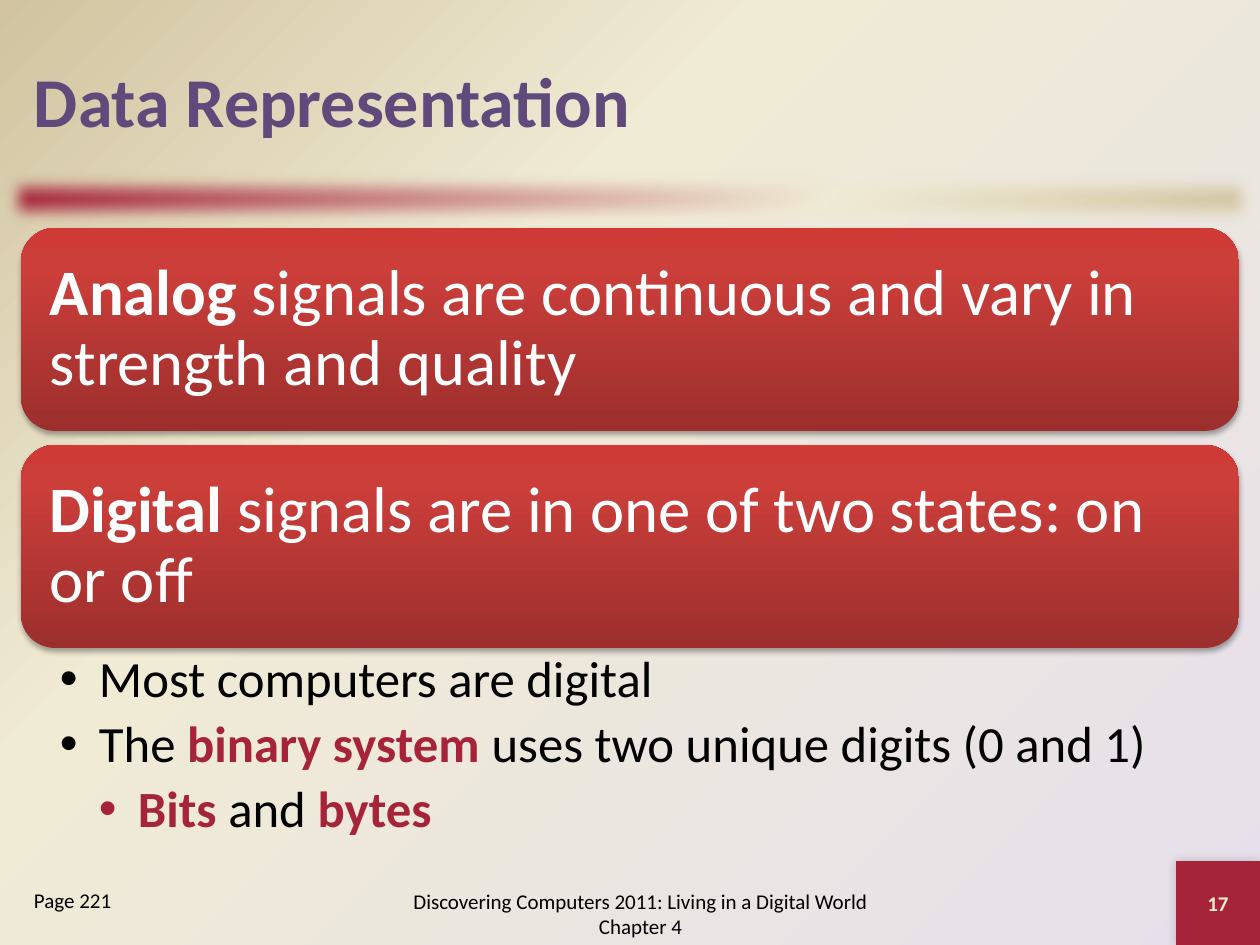
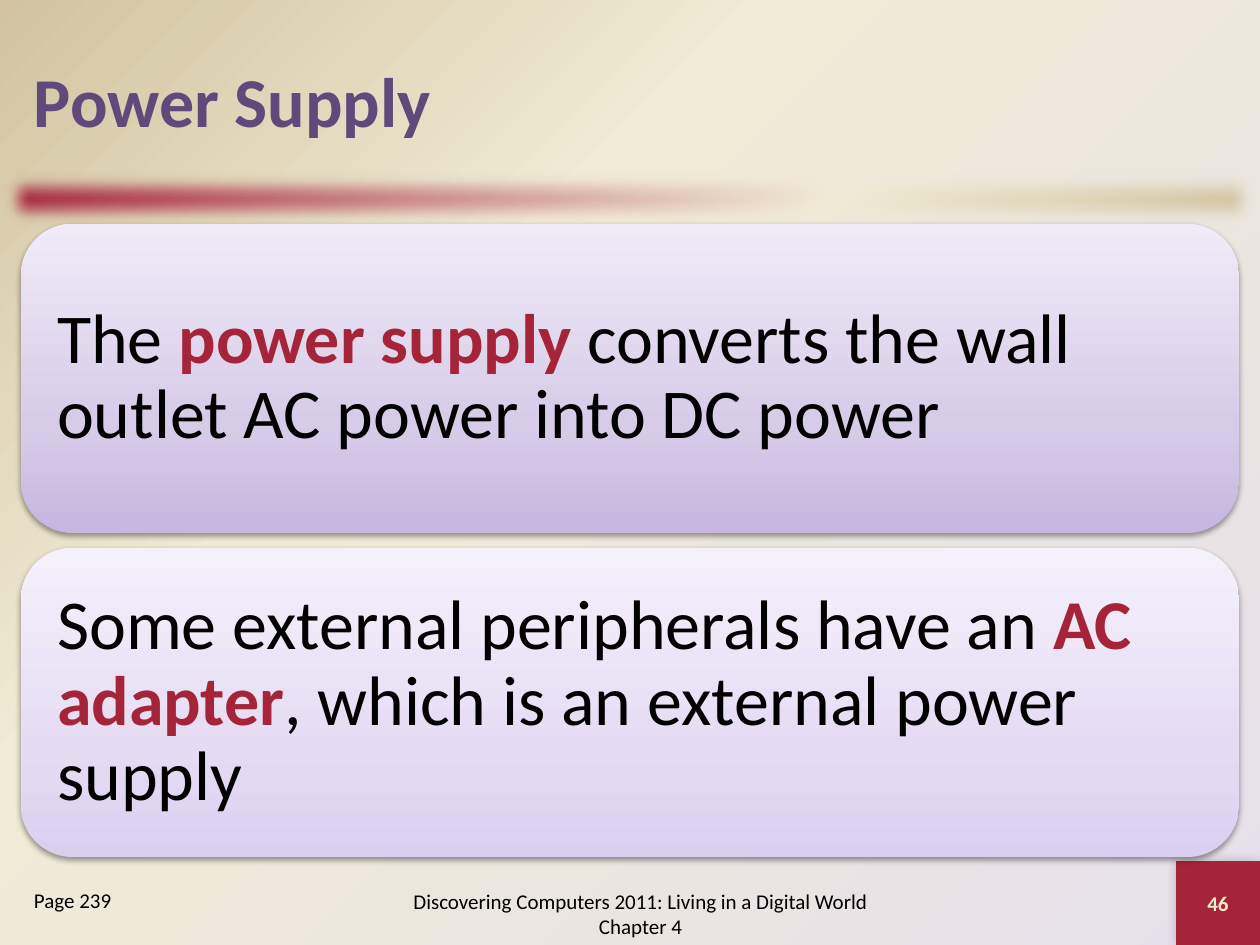
import pptx
import pptx.util
import pptx.dml.color
import pptx.enum.shapes
import pptx.enum.text
import pptx.oxml
import pptx.oxml.ns
from lxml import etree

FONT = "Calibri"
CRIMSON, PURPLE, CREAM = "A52439", "604A7B", "EEEBCA"
BLACK, WHITE = "000000", "FFFFFF"
PAPER_STOPS = [(0, "E6E0EC"), (65, "F0EBD5"), (100, "D1C39F")]
BAND_STOPS = [(0, CRIMSON), (65, "F0EBD5"), (100, "D1C39F")]
RED_STOPS = [(0, "9C2F2D"), (80, "CB3E3A"), (100, "CE3B37")]
LILAC_STOPS = [(0, "C6B6E0"), (35, "D7CCE8"), (100, "F0EBF7")]
PALE_STOPS = [(0, "DBCFEF"), (35, "E5DCF3"), (100, "F5F1FB")]
FOOTER = "Discovering Computers 2011: Living in a Digital World Chapter 4"

# A run is plain text, or (text, colour) for a bold term.
# Card layouts are in px: top of the first card, height, step, inset.
SLIDES = [
    {
        "title": "Data Representation", "page": "Page 221", "number": "17",
        "layout": {"top": 228, "height": 203, "step": 217, "inset": 19},
        "size": 37, "color": WHITE, "shadow": (35, 3.1, 1.8, 90),
        "cards": [
            (RED_STOPS, [("Analog", WHITE),
                         " signals are continuous and vary in strength and quality"]),
            (RED_STOPS, [("Digital", WHITE),
                         " signals are in one of two states: on or off"]),
        ],
        "bullets": [
            (1, ["Most computers are digital"]),
            (1, ["The ", ("binary system ", CRIMSON),
                 "uses two unique digits (0 and 1)"]),
            (2, [("Bits", CRIMSON), " and ", ("bytes", CRIMSON)]),
        ],
    },
    {
        "title": "Power Supply", "page": "Page 239", "number": "46",
        "layout": {"top": 224, "height": 309, "step": 324, "inset": 21},
        "size": 40, "color": BLACK, "shadow": (38, 3.1, 1.6, 90),
        "cards": [
            (LILAC_STOPS, ["The ", ("power supply ", CRIMSON),
                           "converts the wall outlet AC power into DC power"]),
            (PALE_STOPS, ["Some external peripherals have an ",
                          ("AC adapter", CRIMSON),
                          ", which is an external power supply"]),
        ],
        "bullets": [],
    },
]

WIDTH, HEIGHT = 1260, 945
MARGIN = 21
CONTENT_WIDTH = WIDTH - 2 * MARGIN
CORNER = (1176, 861, 84, 84)
BULLET_INDENT = 39
ALIGN = pptx.enum.text.PP_ALIGN
ANCHOR = pptx.enum.text.MSO_ANCHOR
SHAPE = pptx.enum.shapes.MSO_SHAPE


def px(length):
    return pptx.util.Emu(round(length * 914400 / 126))


def rgb(color):
    return pptx.dml.color.RGBColor.from_string(color)


def place(shape, left, top, width, height):
    shape.left, shape.top, shape.width, shape.height = map(px, (left, top, width, height))


def set_gradient(fill, owner, stops, direction):
    """Fill with stops; direction is an a:lin or a:path element as text."""
    fill.gradient()
    stop_xml = "".join(f'<a:gs pos="{pos * 1000}"><a:srgbClr val="{color}"/></a:gs>'
                       for pos, color in stops)
    gradient = pptx.oxml.parse_xml(
        f'<a:gradFill {pptx.oxml.ns.nsdecls("a")} rotWithShape="1">'
        f"<a:gsLst>{stop_xml}</a:gsLst>{direction}</a:gradFill>")
    previous = owner.xpath(".//a:gradFill")[0]
    previous.getparent().replace(previous, gradient)


def linear(degrees):
    return f'<a:lin ang="{degrees * 60000}" scaled="0"/>'


def add_effect(shape, tag, **attributes):
    effects = shape.element.spPr.find(pptx.oxml.ns.qn("a:effectLst"))
    return etree.SubElement(effects, pptx.oxml.ns.qn(tag), attributes)


def add_shadow(shape, opacity, blur, distance, degrees):
    shadow = add_effect(shape, "a:outerShdw", blurRad=str(round(blur * 12700)),
                        dist=str(round(distance * 12700)), dir=str(degrees * 60000),
                        algn="ctr", rotWithShape="0")
    color = etree.SubElement(shadow, pptx.oxml.ns.qn("a:srgbClr"), val=BLACK)
    etree.SubElement(color, pptx.oxml.ns.qn("a:alpha"), val=str(opacity * 1000))


def add_plain_shape(page, kind, *bounds):
    shape = page.shapes.add_shape(kind, *map(px, bounds))
    shape.shadow.inherit = False
    shape.line.fill.background()
    return shape


def add_runs(para, runs, size, color, bold=False):
    for run in runs:
        text, run_color, run_bold = (run, color, bold) if isinstance(run, str) else (*run, True)
        span = para.add_run()
        span.text = text
        span.font.name = FONT
        span.font.size = pptx.util.Pt(size)
        span.font.bold = run_bold
        span.font.color.rgb = rgb(run_color)


def prepare_frame(shape, anchor, insets=(13, 6, 13, 6)):
    frame = shape.text_frame
    frame.word_wrap = True
    frame.auto_size = pptx.enum.text.MSO_AUTO_SIZE.NONE
    frame.vertical_anchor = anchor
    (frame.margin_left, frame.margin_top,
     frame.margin_right, frame.margin_bottom) = map(px, insets)
    return frame


def add_label(page, bounds, text, align, anchor, color=BLACK, bold=False):
    box = page.shapes.add_textbox(*map(px, bounds))
    para = prepare_frame(box, anchor).paragraphs[0]
    para.alignment = align
    add_runs(para, [text], 12, color, bold)


def decorate_master(master, page):
    """Draw the shared background, band and corner, and move them to the master."""
    set_gradient(master.background.fill, master.element, PAPER_STOPS,
                 '<a:path path="circle"><a:fillToRect l="100000" t="100000"/></a:path>')
    band = add_plain_shape(page, SHAPE.RECTANGLE, 0, 168, WIDTH, 63)
    set_gradient(band.fill, band.element, BAND_STOPS, linear(45))
    add_effect(band, "a:softEdge", rad="127000")
    corner = add_plain_shape(page, SHAPE.RECTANGLE, *CORNER)
    corner.fill.solid()
    corner.fill.fore_color.rgb = rgb(CRIMSON)
    add_shadow(corner, 20, 6, 0, 225)
    for shape in (band, corner):
        master.shapes.element.append(shape.element)


def add_title(page, text):
    title = page.shapes.title
    place(title, MARGIN, 21, CONTENT_WIDTH, 158)
    para = prepare_frame(title, ANCHOR.MIDDLE).paragraphs[0]
    para.alignment = ALIGN.LEFT
    add_runs(para, [text], 40, PURPLE, True)


def add_cards(page, content):
    layout = content["layout"]
    for index, (stops, runs) in enumerate(content["cards"]):
        card = add_plain_shape(page, SHAPE.ROUNDED_RECTANGLE, MARGIN,
                               layout["top"] + index * layout["step"],
                               CONTENT_WIDTH, layout["height"])
        set_gradient(card.fill, card.element, stops, linear(270))
        add_shadow(card, *content["shadow"])
        para = prepare_frame(card, ANCHOR.MIDDLE, [layout["inset"]] * 4).paragraphs[0]
        para.alignment = ALIGN.LEFT
        para.line_spacing = 0.9
        add_runs(para, runs, content["size"], content["color"])


def fill_bullets(body, bullets):
    place(body, MARGIN, 648, CONTENT_WIDTH, 205)
    frame = prepare_frame(body, ANCHOR.TOP, (39, 6, 37, 6))
    for index, (level, runs) in enumerate(bullets):
        para = frame.add_paragraph() if index else frame.paragraphs[0]
        para.level = level - 1
        properties = para._p.get_or_add_pPr()
        properties.set("marL", str(px(BULLET_INDENT * level)))
        properties.set("indent", str(-px(BULLET_INDENT)))
        etree.SubElement(properties, pptx.oxml.ns.qn("a:buChar"), char="•")
        para.line_spacing = 0.9
        para.space_before = pptx.util.Pt(0)
        para.space_after = pptx.util.Pt(5.8)
        add_runs(para, runs, 29, BLACK)


def add_footer(page, content):
    add_label(page, (378, 882, 525, 63), FOOTER, ALIGN.CENTER, ANCHOR.MIDDLE)
    add_label(page, CORNER, content["number"], ALIGN.CENTER, ANCHOR.MIDDLE, CREAM, True)
    add_label(page, (MARGIN, 882, 231, 63), content["page"], ALIGN.LEFT, ANCHOR.TOP)


def main():
    deck = pptx.Presentation()
    deck.slide_width, deck.slide_height = px(WIDTH), px(HEIGHT)
    for index, content in enumerate(SLIDES):
        layout_name = "Title and Content" if content["bullets"] else "Title Only"
        page = deck.slides.add_slide(deck.slide_layouts.get_by_name(layout_name))
        if index == 0:
            decorate_master(deck.slide_master, page)
        add_title(page, content["title"])
        add_cards(page, content)
        if content["bullets"]:
            fill_bullets(page.placeholders[1], content["bullets"])
        add_footer(page, content)
    deck.save("out.pptx")


if __name__ == "__main__":
    main()
